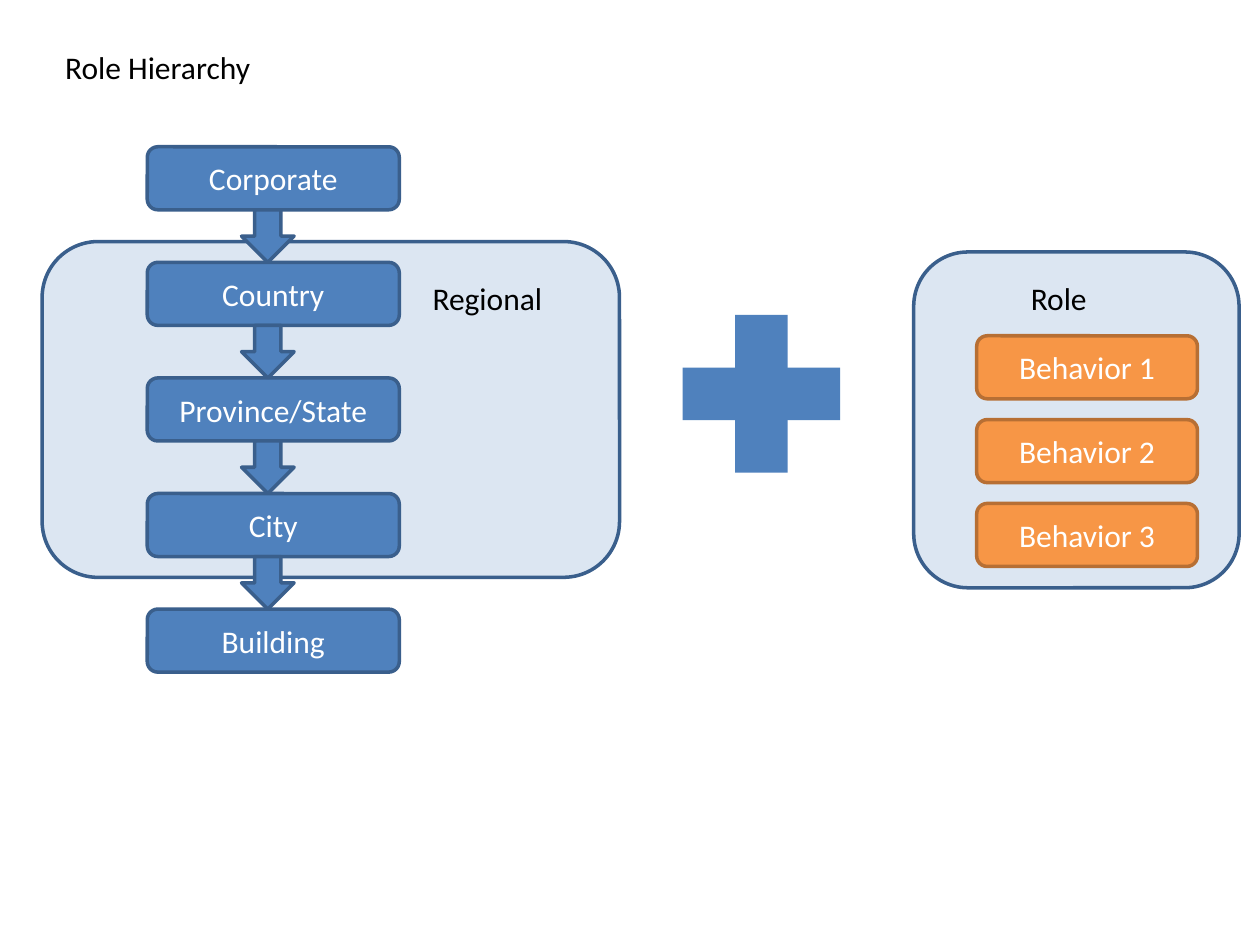
"""Build a slide that combines a regional role hierarchy with role behaviors."""
from pptx import Presentation
from pptx.dml.color import RGBColor
from pptx.enum.shapes import MSO_SHAPE
from pptx.enum.text import MSO_ANCHOR, MSO_AUTO_SIZE, PP_ALIGN
from pptx.util import Cm, Pt

BLUE = RGBColor(0x4F, 0x81, 0xBD)
DARK_BLUE = RGBColor(0x3A, 0x5F, 0x8C)
PALE_BLUE = RGBColor(0xDC, 0xE6, 0xF2)
ORANGE = RGBColor(0xF7, 0x96, 0x46)
DARK_ORANGE = RGBColor(0xB7, 0x6F, 0x34)
WHITE = RGBColor(0xFF, 0xFF, 0xFF)
BLACK = RGBColor(0x00, 0x00, 0x00)

LEVELS = ["Corporate", "Country", "Province/State", "City", "Building"]
BEHAVIORS = ["Behavior 1", "Behavior 2", "Behavior 3"]
NODE_HEIGHT = 1.27
ARROW_SIZE = 1.06


def write(frame, wording, color, align):
    """Write one run of 18 pt Calibri in a text frame."""
    paragraph = frame.paragraphs[0]
    paragraph.alignment = align
    run = paragraph.add_run()
    run.text = wording
    run.font.name = "Calibri"
    run.font.size = Pt(18)
    run.font.color.rgb = color


def draw(slide, kind, box, fill, outline=None):
    """Draw a flat preset shape; box is left, top, width, height in cm."""
    figure = slide.shapes.add_shape(kind, *map(Cm, box))
    figure.shadow.inherit = False
    figure.fill.solid()
    figure.fill.fore_color.rgb = fill
    if outline is None:
        figure.line.fill.background()
    else:
        figure.line.color.rgb = outline
        figure.line.width = Pt(2)
    return figure


def add_node(slide, box, wording, fill, outline):
    """Add a rounded box with centred white text."""
    node = draw(slide, MSO_SHAPE.ROUNDED_RECTANGLE, box, fill, outline)
    node.text_frame.vertical_anchor = MSO_ANCHOR.MIDDLE
    write(node.text_frame, wording, WHITE, PP_ALIGN.CENTER)


def add_label(slide, left, top, wording):
    """Add the black heading of a panel."""
    label = slide.shapes.add_textbox(Cm(left), Cm(top), Cm(4.04), Cm(1.02))
    label.text_frame.word_wrap = True
    label.text_frame.auto_size = MSO_AUTO_SIZE.SHAPE_TO_FIT_TEXT
    write(label.text_frame, wording, BLACK, PP_ALIGN.LEFT)


def add_title(slide, left, top, width, height):
    """Place the slide title."""
    title = slide.shapes.title
    title.left, title.top, title.width, title.height = map(Cm, (left, top, width, height))
    frame = title.text_frame
    frame.word_wrap = False
    frame.auto_size = MSO_AUTO_SIZE.SHAPE_TO_FIT_TEXT
    frame.vertical_anchor = MSO_ANCHOR.TOP
    write(frame, "Role Hierarchy", BLACK, PP_ALIGN.LEFT)


def add_hierarchy(slide, left, top, width, panel_height):
    """Stack the levels with arrows over the regional panel."""
    panel_box = (left, top + 1.91, width, panel_height)
    draw(slide, MSO_SHAPE.ROUNDED_RECTANGLE, panel_box, PALE_BLUE, DARK_BLUE)
    add_label(slide, left + 7.62, top + 2.54, "Regional")
    for index, level in enumerate(LEVELS):
        level_top = top + index * (NODE_HEIGHT + ARROW_SIZE)
        add_node(slide, (left + 2.12, level_top, 5.08, NODE_HEIGHT), level, BLUE, DARK_BLUE)
        if index:
            arrow_box = (left + 4.02, level_top - ARROW_SIZE, ARROW_SIZE, ARROW_SIZE)
            draw(slide, MSO_SHAPE.DOWN_ARROW, arrow_box, BLUE, DARK_BLUE)


def add_plus(slide, left, top, size):
    """Cross two bars into a plus sign."""
    thickness = size / 3
    for angle in (0, 90):
        bar_box = (left, top + thickness, size, thickness)
        draw(slide, MSO_SHAPE.RECTANGLE, bar_box, BLUE).rotation = angle


def add_role(slide, left, top, width, height):
    """Add the role panel with its behaviors."""
    draw(slide, MSO_SHAPE.ROUNDED_RECTANGLE, (left, top, width, height), PALE_BLUE, DARK_BLUE)
    add_label(slide, left + 2.11, top + 0.42, "Role")
    for index, behavior in enumerate(BEHAVIORS):
        behavior_box = (left + 1.27, top + 1.69 * (index + 1), 4.45, NODE_HEIGHT)
        add_node(slide, behavior_box, behavior, ORANGE, DARK_ORANGE)


deck = Presentation()
deck.slide_width, deck.slide_height = Cm(25.4), Cm(19.05)
role_slide = deck.slides.add_slide(deck.slide_layouts[5])
add_title(role_slide, 1.06, 0.85, 4.29, 1.02)
add_hierarchy(role_slide, 0.85, 2.96, 11.64, 6.77)
add_plus(role_slide, 13.76, 6.35, 3.18)
add_role(role_slide, 18.42, 5.08, 6.56, 6.77)
deck.save("out.pptx")
